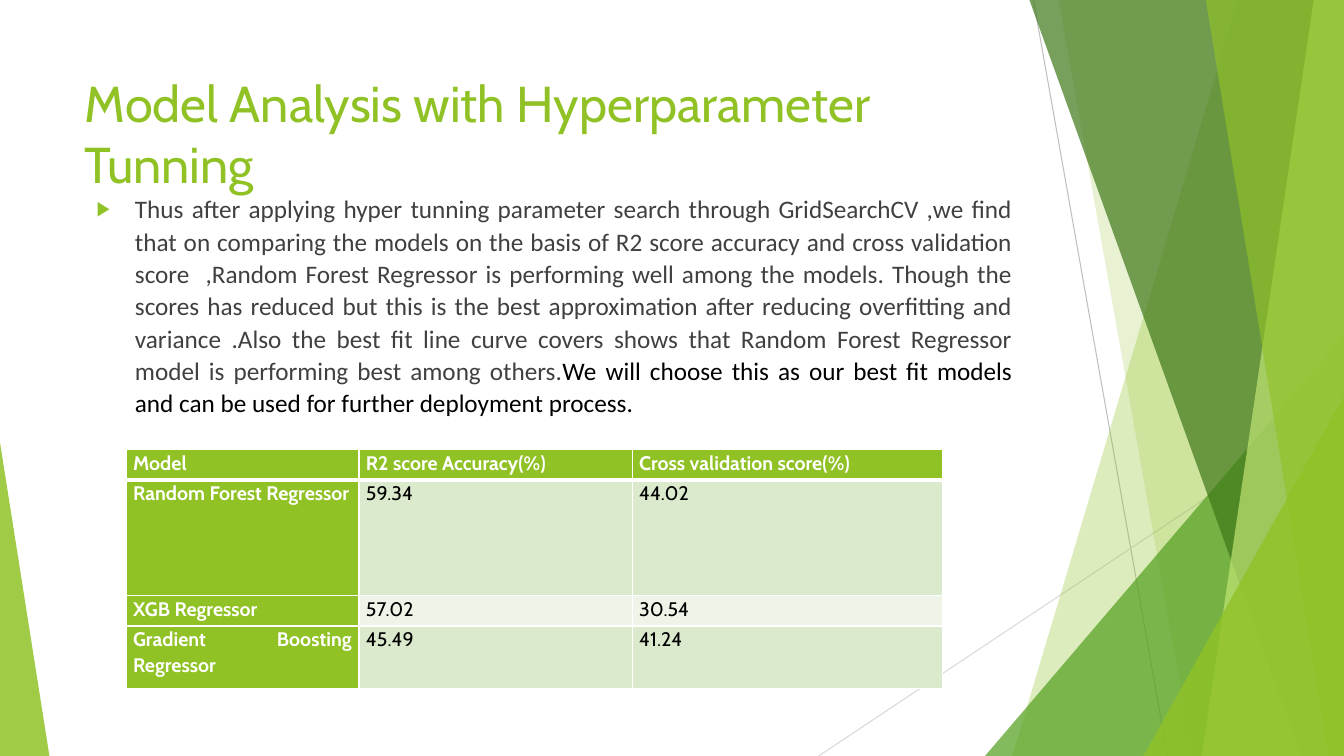
from lxml import etree
from pptx import Presentation
from pptx.dml.color import RGBColor
from pptx.enum.shapes import MSO_CONNECTOR, MSO_SHAPE
from pptx.enum.text import MSO_ANCHOR, MSO_AUTO_SIZE, PP_ALIGN
from pptx.oxml.ns import qn
from pptx.util import Inches, Pt

LINE = MSO_CONNECTOR.STRAIGHT
TRIANGLE = MSO_SHAPE.ISOSCELES_TRIANGLE
TOP = MSO_ANCHOR.TOP
LEFT, JUSTIFY = PP_ALIGN.LEFT, PP_ALIGN.JUSTIFY
FIXED = MSO_AUTO_SIZE.NONE

WIDE, HIGH = 13.33, 7.5
THEME = {
    "green": "90C226", "leaf": "54A021", "dark": "3F7819", "lime": "C0E474",
    "white": "FFFFFF", "black": "000000", "grey": "404040",
    "band": "DBE9CD", "pale": "EEF4E8", "rule": "BFBFBF", "faint": "D9D9D9",
    "head": "Cabin", "body": "Calibri",
    "title": 36, "text": 18, "cell": 14,
}

TITLE = "Model Analysis with Hyperparameter Tunning"
BODY = [
    ("Thus after applying hyper tunning parameter search through GridSearchCV ,"
     "we find that on comparing the models on the basis of R2 score accuracy and "
     "cross validation score  ,Random Forest Regressor is performing well among "
     "the models. Though the scores has reduced but this is the best approximation "
     "after reducing overfitting and variance .Also the best fit line curve covers "
     "shows that Random Forest Regressor model is performing best among others.",
     "grey"),
    ("We will choose this as our best fit models and can be used for further "
     "deployment process.", "black"),
]
SCORES = [
    ("Model", "R2 score Accuracy(%)", "Cross validation score(%)"),
    ("Random Forest Regressor", "59.34", "44.02"),
    ("XGB Regressor", "57.02", "30.54"),
    ("Gradient Boosting Regressor", "45.49", "41.24"),
]
COLS = [2.31, 2.71, 3.08]
ROWS = [0.3, 1.15, 0.3, 0.62]

RULES = [((10.25, 0), (11.58, HIGH), "rule"),
         ((WIDE, 4.03), (8.12, HIGH), "faint")]
# Back to front. Band: top x, foot x, colour, opacity.
# Triangle: left, top, width, apex, colour, opacity.
DECOR = [
    (12.28, 10.04, "green", 30),
    (10.5, 11.83, "green", 20),
    (9.77, 3.33, 3.56, 1, "leaf", 72),
    (10.21, 12.91, "dark", 70),
    (13.03, 11.92, "lime", 70),
    (11.96, 13.18, "green", 65),
    (11.34, 3.93, 1.99, 1, "green", 80),
    (0, 4.39, 0.49, 0, "green", 85),
]


def tint(name):
    return RGBColor.from_string(THEME[name])


def put(item, **values):
    for name, value in values.items():
        setattr(item, name, value)


def sub(node, tag, **values):
    return etree.SubElement(node, qn(tag), values)


def box(*sizes):
    return [Inches(size) for size in sizes]


def write(para, text, font, size, color, bold=False):
    run = para.add_run()
    run.text = text
    put(run.font, name=THEME[font], size=Pt(THEME[size]), bold=bold)
    run.font.color.rgb = tint(color)


def paint(shape, color, alpha):
    shape.shadow.inherit = False
    shape.fill.solid()
    shape.fill.fore_color.rgb = tint(color)
    shape.line.fill.background()
    node = shape.fill._xPr.find(".//" + qn("a:srgbClr"))
    sub(node, "a:alpha", val=str(alpha * 1000))


def band(shapes, top, foot):
    """Fill from a slanted left edge to the right side of the slide."""
    form = shapes.build_freeform(Inches(top), 0, scale=1.0)
    form.add_line_segments([box(WIDE, 0), box(WIDE, HIGH), box(foot, HIGH)],
                           close=True)
    return form.convert_to_shape()


def wedge(shapes, left, top, width, apex):
    shape = shapes.add_shape(TRIANGLE, *box(left, top, width, HIGH - top))
    shape.adjustments[0] = apex
    return shape


def draw_decor(shapes):
    for start, end, color in RULES:
        rule = shapes.add_connector(LINE, *box(*start, *end))
        rule.line.color.rgb = tint(color)
        rule.line.width = Pt(0.75)
        sub(rule._element.spPr, "a:effectLst")
    for *place, color, alpha in DECOR:
        make = band if len(place) == 2 else wedge
        paint(make(shapes, *place), color, alpha)


def add_title(shapes):
    title = shapes.title
    left, top, width, height = box(0.74, 0.67, 9.4, 1.44)
    put(title, left=left, top=top, width=width, height=height)
    put(title.text_frame, word_wrap=True, auto_size=FIXED, vertical_anchor=TOP)
    para = title.text_frame.paragraphs[0]
    para.alignment = LEFT
    write(para, TITLE, "head", "title", "green")


def add_body(shapes):
    frame = shapes.add_textbox(*box(0.74, 1.85, 9.4, 4.01)).text_frame
    put(frame, word_wrap=True, auto_size=FIXED, vertical_anchor=TOP)
    para = frame.paragraphs[0]
    put(para, alignment=JUSTIFY, line_spacing=1.07,
        space_before=Pt(10), space_after=Pt(8))
    props = para._p.get_or_add_pPr()
    props.set("marL", str(Inches(0.5)))
    props.set("indent", str(Inches(-0.38)))
    sub(sub(props, "a:buClr"), "a:srgbClr", val=THEME["green"])
    sub(props, "a:buSzPct", val="80000")
    sub(props, "a:buFont", typeface="Arial")
    sub(props, "a:buChar", char="▶")
    for text, color in BODY:
        write(para, text, "body", "text", color)


def edge(cell, foot):
    """Draw white borders, with the bottom one foot points wide."""
    props = cell._tc.get_or_add_tcPr()
    for side, width in (("L", 1), ("R", 1), ("T", 1), ("B", foot)):
        line = sub(props, "a:ln" + side, w=str(Pt(width)))
        sub(sub(line, "a:solidFill"), "a:srgbClr", val=THEME["white"])


def add_scores(shapes):
    place = box(1.25, 4.46, sum(COLS), sum(ROWS))
    table = shapes.add_table(len(ROWS), len(COLS), *place).table
    put(table, first_row=False, horz_banding=False)
    for col, width in zip(table.columns, COLS):
        col.width = Inches(width)
    for r, (row, height) in enumerate(zip(table.rows, ROWS)):
        row.height = Inches(height)
        for c, cell in enumerate(row.cells):
            label = r == 0 or c == 0
            put(cell, margin_left=Inches(0.07), margin_right=Inches(0.07),
                margin_top=0, margin_bottom=0, vertical_anchor=TOP)
            edge(cell, 1 if r else 3)
            cell.fill.solid()
            shade = "green" if label else "band" if r % 2 else "pale"
            cell.fill.fore_color.rgb = tint(shade)
            para = cell.text_frame.paragraphs[0]
            put(para, alignment=JUSTIFY, line_spacing=1.07, space_after=Pt(8))
            write(para, SCORES[r][c], "head", "cell",
                  "white" if label else "black", label)


def main():
    deck = Presentation()
    put(deck, slide_width=Inches(WIDE), slide_height=Inches(HIGH))
    shapes = deck.slides.add_slide(deck.slide_layouts[5]).shapes
    draw_decor(shapes)
    add_title(shapes)
    add_body(shapes)
    add_scores(shapes)
    deck.save("out.pptx")


if __name__ == "__main__":
    main()
